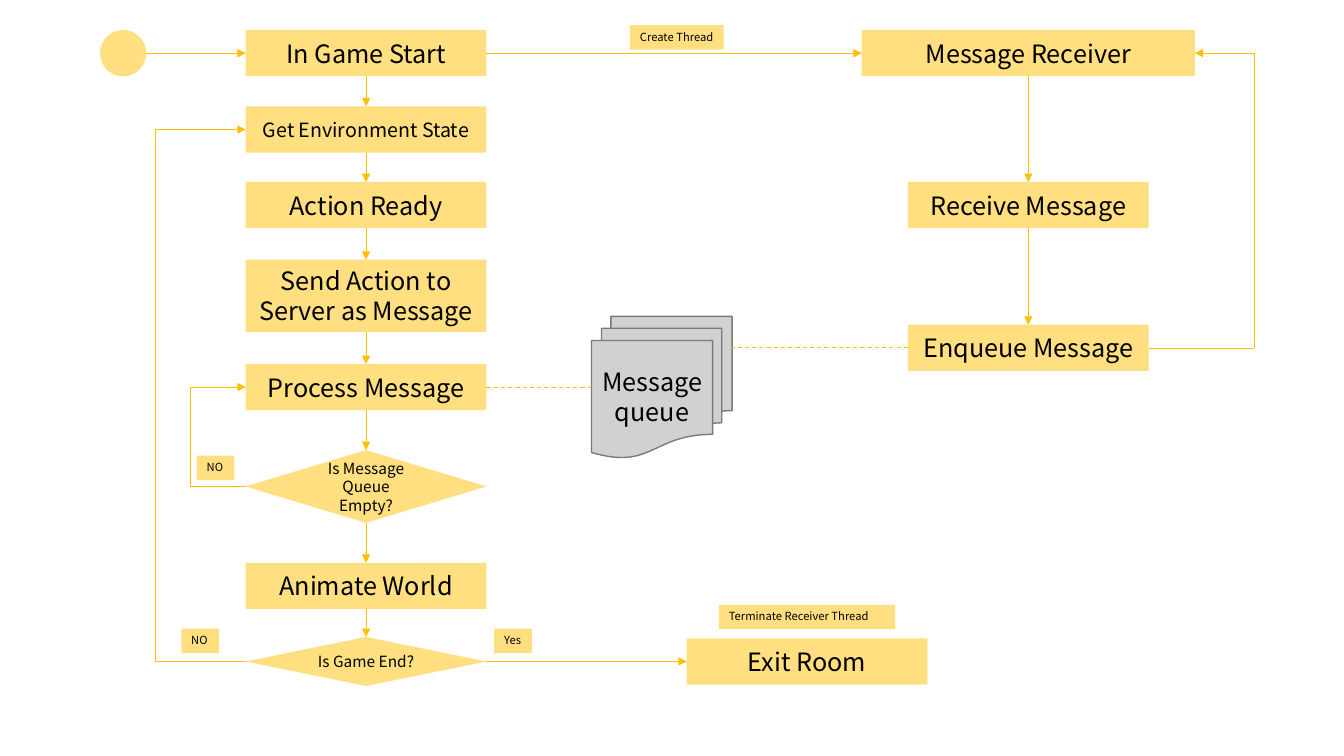
from dataclasses import dataclass

from lxml.etree import SubElement
from pptx import Presentation
from pptx.dml.color import RGBColor
from pptx.enum.dml import MSO_LINE
from pptx.enum.shapes import MSO_CONNECTOR, MSO_SHAPE as Preset
from pptx.enum.text import MSO_ANCHOR, MSO_AUTO_SIZE, PP_ALIGN
from pptx.oxml.ns import qn
from pptx.shapes.autoshape import Shape
from pptx.shapes.connector import Connector
from pptx.util import Pt

FONT = "Noto Sans CJK KR"
AMBER, GREY, DARK_GREY, BLACK = "FFC000", "A5A5A5", "7A7A7A", "000000"
TOP, LEFT, BOTTOM, RIGHT = range(4)  # connection sites
GAME_LEFT, THREAD_LEFT, EXIT_LEFT = 175.5, 648.5, 490.5
STEP_WIDTH, STEP_HEIGHT, LABEL_HEIGHT = 172, 33, 17.5


@dataclass
class Node:
    """A flowchart step."""
    text: str
    left: float
    top: float
    width: float = STEP_WIDTH
    height: float = STEP_HEIGHT
    size: float = 18
    preset: Preset = Preset.RECTANGLE


@dataclass
class Label:
    """A small caption beside a line."""
    text: str
    left: float
    top: float
    width: float
    wrap: bool = False


@dataclass
class Route:
    """A line through several points, with an optional arrowhead at the end."""
    points: list[tuple[float, float]]
    arrow: bool = True
    dashed: bool = False


GAME_STEPS = [
    Node("In Game Start", GAME_LEFT, 21.5),
    Node("Get Environment State", GAME_LEFT, 76, size=14),
    Node("Action Ready", GAME_LEFT, 130),
    Node("Send Action to Server as Message", GAME_LEFT, 185.5, height=51.5),
    Node("Process Message", GAME_LEFT, 260),
    Node("Is Message Queue Empty?", GAME_LEFT, 321.5, height=52, size=11,
         preset=Preset.FLOWCHART_DECISION),
    Node("Animate World", GAME_LEFT, 402),
    Node("Is Game End?", GAME_LEFT, 455, height=35, size=11,
         preset=Preset.FLOWCHART_DECISION),
]
THREAD_STEPS = [
    Node("Message Receiver", 615.5, 21.5, width=238),
    Node("Receive Message", THREAD_LEFT, 130),
    Node("Enqueue Message", THREAD_LEFT, 232),
]
EXIT_STEP = Node("Exit Room", EXIT_LEFT, 456)
START_DOT = Node("", 71.5, 21.5, width=33, preset=Preset.FLOWCHART_CONNECTOR)
QUEUE = Node("Message queue", 422.5, 226, width=100.5, height=101,
             preset=Preset.FLOWCHART_MULTIDOCUMENT)

LABELS = [
    Label("Create Thread", 450, 18, 67, wrap=True),
    Label("NO", 140.5, 325.5, 27),
    Label("NO", 129.5, 449, 27),
    Label("Yes", 353, 449, 27),
    Label("Terminate Receiver Thread", 513.5, 432, 126, wrap=True),
]

GAME_RIGHT, THREAD_RIGHT = GAME_LEFT + STEP_WIDTH, THREAD_LEFT + STEP_WIDTH
ROUTES = [
    Route([(104.5, 38), (GAME_LEFT, 38)]),
    Route([(GAME_LEFT, 347.5), (136, 347.5), (136, 276.5), (GAME_LEFT, 276.5)]),
    Route([(GAME_LEFT, 472.5), (111, 472.5), (111, 92.5), (GAME_LEFT, 92.5)]),
    Route([(THREAD_RIGHT, 248.5), (896, 248.5), (896, 38), (853.5, 38)]),
    Route([(GAME_RIGHT, 276.5), (QUEUE.left, 276.5)], arrow=False, dashed=True),
    Route([(THREAD_LEFT, 248.5), (QUEUE.left + QUEUE.width, 248.5)],
          arrow=False, dashed=True),
]


def colour(value: str) -> RGBColor:
    """Turn a hex string into a colour."""
    return RGBColor.from_string(value)


def add_box(item: Node | Label, height: float, preset: Preset) -> Shape:
    """Add a half-transparent amber shape without outline or shadow."""
    box = slide.shapes.add_shape(preset, Pt(item.left), Pt(item.top),
                                 Pt(item.width), Pt(height))
    box.shadow.inherit = False
    box.line.fill.background()
    box.fill.solid()
    box.fill.fore_color.rgb = colour(AMBER)
    colour_node = box.fill._xPr.find(qn("a:solidFill"))[0]
    SubElement(colour_node, qn("a:alpha"), val="50000")
    return box


def write(box: Shape, text: str, size: float, align: PP_ALIGN) -> None:
    """Put black text into a shape."""
    para = box.text_frame.paragraphs[0]
    para.text = text
    para.alignment = align
    for span in para.runs:
        span.font.name = FONT
        span.font.size = Pt(size)
        span.font.color.rgb = colour(BLACK)


def add_node(node: Node) -> Shape:
    """Add a step with centred text."""
    box = add_box(node, node.height, node.preset)
    box.text_frame.word_wrap = True
    box.text_frame.vertical_anchor = MSO_ANCHOR.MIDDLE
    if node.text:
        write(box, node.text, node.size, PP_ALIGN.CENTER)
    return box


def add_label(label: Label) -> None:
    """Add a caption with left-aligned text."""
    box = add_box(label, LABEL_HEIGHT, Preset.RECTANGLE)
    box.text_frame.word_wrap = label.wrap
    box.text_frame.auto_size = MSO_AUTO_SIZE.SHAPE_TO_FIT_TEXT
    box.text_frame.vertical_anchor = MSO_ANCHOR.TOP
    write(box, label.text, 8, PP_ALIGN.LEFT)


def add_line(start: tuple[float, float], end: tuple[float, float],
             arrow: bool = True, dashed: bool = False) -> Connector:
    """Add one straight amber line."""
    line = slide.shapes.add_connector(MSO_CONNECTOR.STRAIGHT,
                                      *map(Pt, start + end))
    line.line.color.rgb = colour(AMBER)
    line.line.width = Pt(0.75 if dashed else 0.5)
    if dashed:
        line.line.dash_style = MSO_LINE.DASH
    if arrow:
        SubElement(line.line._get_or_add_ln(), qn("a:tailEnd"), type="triangle")
    SubElement(line._element.spPr, qn("a:effectLst"))
    return line


def link(start: Shape, end: Shape, start_site: int = BOTTOM,
         end_site: int = TOP) -> None:
    """Join two steps with an arrow attached to both."""
    line = add_line((0, 0), (0, 0))
    line.begin_connect(start, start_site)
    line.end_connect(end, end_site)


def add_route(route: Route) -> None:
    """Draw a route, with its arrowhead on the last stretch only."""
    for start, end in zip(route.points, route.points[1:]):
        is_last = end == route.points[-1]
        add_line(start, end, route.arrow and is_last, route.dashed)


deck = Presentation()
deck.slide_width, deck.slide_height = Pt(960), Pt(540)
slide = deck.slides.add_slide(deck.slide_layouts[6])

add_node(START_DOT)
game_boxes = [add_node(node) for node in GAME_STEPS]
thread_boxes = [add_node(node) for node in THREAD_STEPS]
exit_box = add_node(EXIT_STEP)

queue_box = add_node(QUEUE)
queue_box.fill.solid()
queue_box.fill.fore_color.rgb = colour(GREY)
queue_box.line.color.rgb = colour(DARK_GREY)
queue_box.line.width = Pt(1)

for chain in (game_boxes, thread_boxes):
    for upper, lower in zip(chain, chain[1:]):
        link(upper, lower)
link(game_boxes[0], thread_boxes[0], RIGHT, LEFT)
link(game_boxes[-1], exit_box, RIGHT, LEFT)
for route in ROUTES:
    add_route(route)
for label in LABELS:
    add_label(label)

deck.save("out.pptx")
